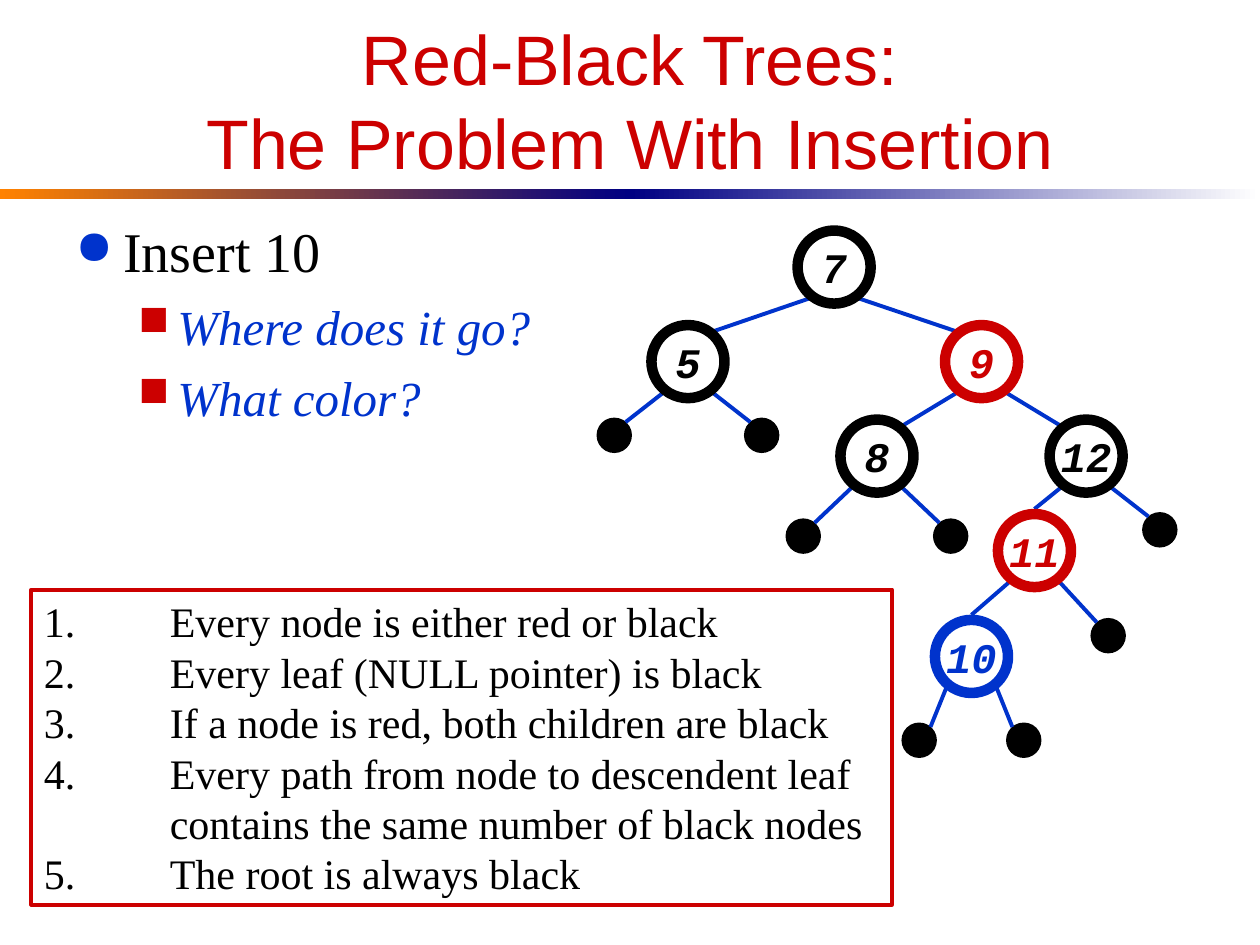
from lxml import etree
from pptx import Presentation
from pptx.dml.color import RGBColor
from pptx.enum.shapes import MSO_CONNECTOR, MSO_SHAPE
from pptx.enum.text import MSO_ANCHOR, PP_ALIGN
from pptx.oxml.ns import qn
from pptx.util import Inches, Pt

OVAL, RECTANGLE = MSO_SHAPE.OVAL, MSO_SHAPE.RECTANGLE
STRAIGHT = MSO_CONNECTOR.STRAIGHT
CENTER, LEFT = PP_ALIGN.CENTER, PP_ALIGN.LEFT
TOP, MIDDLE = MSO_ANCHOR.TOP, MSO_ANCHOR.MIDDLE
BLACK, WHITE, RED, BLUE = "000000", "FFFFFF", "CC0000", "0033CC"
ORANGE, NAVY = "FF8200", "000082"
NODE, LEAF = 0.58, 0.25


def color(hex_text):
    """Turn a hex string into a colour."""
    return RGBColor.from_string(hex_text)


def write(shape, lines, font, hex_text, align=LEFT, anchor=MIDDLE, wrap=True):
    """Fill a shape with one paragraph per line and return the paragraphs."""
    frame = shape.text_frame
    frame.word_wrap = wrap
    frame.vertical_anchor = anchor
    for index, line in enumerate(lines):
        para = frame.paragraphs[0] if index == 0 else frame.add_paragraph()
        para.text = line
        para.alignment = align
        for span in para.runs:
            span.font.color.rgb = color(hex_text)
            for name, value in font.items():
                setattr(span.font, name, value)
    return frame.paragraphs


deck = Presentation()
deck.slide_width, deck.slide_height = Inches(10), Inches(7.5)
page = deck.slides.add_slide(deck.slide_layouts[6])
shapes = page.shapes

# Gradient rule under the title
for left, start, end in [(0, ORANGE, NAVY), (5, NAVY, WHITE)]:
    band = shapes.add_shape(RECTANGLE, Inches(left), Inches(1.5), Inches(5), Inches(0.08))
    band.shadow.inherit = False
    band.line.fill.background()
    band.fill.gradient()
    band.fill.gradient_angle = 0
    for stop, hex_text in zip(band.fill.gradient_stops, (start, end)):
        stop.color.rgb = color(hex_text)

title = shapes.add_textbox(Inches(0.5), Inches(0.25), Inches(9), Inches(1.08))
write(title, ["Red-Black Trees:\vThe Problem With Insertion"],
      {"name": "Arial", "size": Pt(40)}, RED, CENTER)

# Bulleted questions
body = shapes.add_textbox(Inches(0.5), Inches(1.67), Inches(9), Inches(4.75))
paras = write(body, ["Insert 10", "Where does it go?", "What color?"],
              {"name": "Times New Roman", "size": Pt(28), "italic": True}, BLUE, anchor=TOP)
topic = paras[0].runs[0].font
topic.size, topic.italic, topic.color.rgb = Pt(32), False, color(BLACK)
main_bullet = (0, 0.38, 0.38, 8, "●", BLUE)
sub_bullet = (1, 0.81, 0.31, 7, "■", RED)
for para, bullet in zip(paras, (main_bullet, sub_bullet, sub_bullet)):
    level, margin, hanging, gap, sign, hex_text = bullet
    para.level = level
    para.space_before = Pt(gap)
    props = para._p.get_or_add_pPr()
    props.set("marL", str(Inches(margin)))
    props.set("indent", str(-Inches(hanging)))
    bullet_color = etree.SubElement(props, qn("a:buClr"))
    etree.SubElement(bullet_color, qn("a:srgbClr"), val=hex_text)
    etree.SubElement(props, qn("a:buSzPct"), val="85000")
    etree.SubElement(props, qn("a:buChar"), char=sign)

# Boxed list of properties, numbers hanging one inch to the left
rules = [
    "Every node is either red or black",
    "Every leaf (NULL pointer) is black",
    "If a node is red, both children are black",
    "Every path from node to descendent leaf\vcontains the same number of black nodes",
    "The root is always black",
]
rule_box = shapes.add_shape(RECTANGLE, Inches(0.25), Inches(4.68), Inches(6.83), Inches(2.5))
rule_box.shadow.inherit = False
rule_box.fill.background()
rule_box.line.color.rgb = color(RED)
rule_box.line.width = Pt(2.25)
numbered = [f"{number}.\t{rule}" for number, rule in enumerate(rules, 1)]
for para in write(rule_box, numbered, {"name": "Times New Roman", "size": Pt(24)}, BLACK):
    props = para._p.get_or_add_pPr()
    props.set("marL", str(Inches(1)))
    props.set("indent", str(-Inches(1)))

# Tree: key -> left, top, colour; a leaf is keyed by its parent and side
nodes = {
    "7": (6.33, 1.83, BLACK),
    "5": (5.17, 2.58, BLACK),
    "9": (7.5, 2.58, RED),
    "8": (6.67, 3.33, BLACK),
    "12": (8.33, 3.33, BLACK),
    "11": (7.92, 4.08, RED),
    "10": (7.42, 4.92, BLUE),
}
leaves = {
    "5L": (4.75, 3.33), "5R": (5.92, 3.33),
    "8L": (6.25, 4.13), "8R": (7.42, 4.13),
    "12R": (9.08, 4.08), "11R": (8.67, 4.92),
    "10L": (7.17, 5.75), "10R": (8, 5.75),
}
children = {"7": ("5", "9"), "5": ("5L", "5R"), "9": ("8", "12"), "8": ("8L", "8R"),
            "12": ("11", "12R"), "11": ("10", "11R"), "10": ("10L", "10R")}
entered_at_top = ("11", "10")

for left, top in leaves.values():
    dot = shapes.add_shape(OVAL, Inches(left), Inches(top), Inches(LEAF), Inches(LEAF))
    dot.shadow.inherit = False
    dot.fill.solid()
    dot.fill.fore_color.rgb = dot.line.color.rgb = color(BLACK)
    dot.line.width = Pt(2.25)

for parent, pair in children.items():
    left, top, _ = nodes[parent]
    for side, child in zip((-1, 1), pair):
        if child in leaves:
            size, reach, drop = LEAF, 0.09, 0.02
            child_left, child_top = leaves[child]
        else:
            size, reach, drop = NODE, 0.2, 0.05
            child_left, child_top, _ = nodes[child]
        if child in entered_at_top:
            reach, drop = 0, -0.04
        edge = shapes.add_connector(
            STRAIGHT,
            Inches(left + NODE / 2 + side * 0.2), Inches(top + 0.54),
            Inches(child_left + size / 2 - side * reach), Inches(child_top + drop))
        edge.line.color.rgb = color(BLUE)
        edge.line.width = Pt(2.25)
        etree.SubElement(edge._element.spPr, qn("a:effectLst"))

for key, (left, top, hex_text) in nodes.items():
    circle = shapes.add_shape(OVAL, Inches(left), Inches(top), Inches(NODE), Inches(NODE))
    circle.shadow.inherit = False
    circle.fill.solid()
    circle.fill.fore_color.rgb = color(WHITE)
    circle.line.color.rgb = color(hex_text)
    circle.line.width = Pt(6)
    write(circle, [key], {"name": "Courier New", "size": Pt(24), "bold": True, "italic": True},
          hex_text, CENTER, wrap=False)

deck.save("out.pptx")
